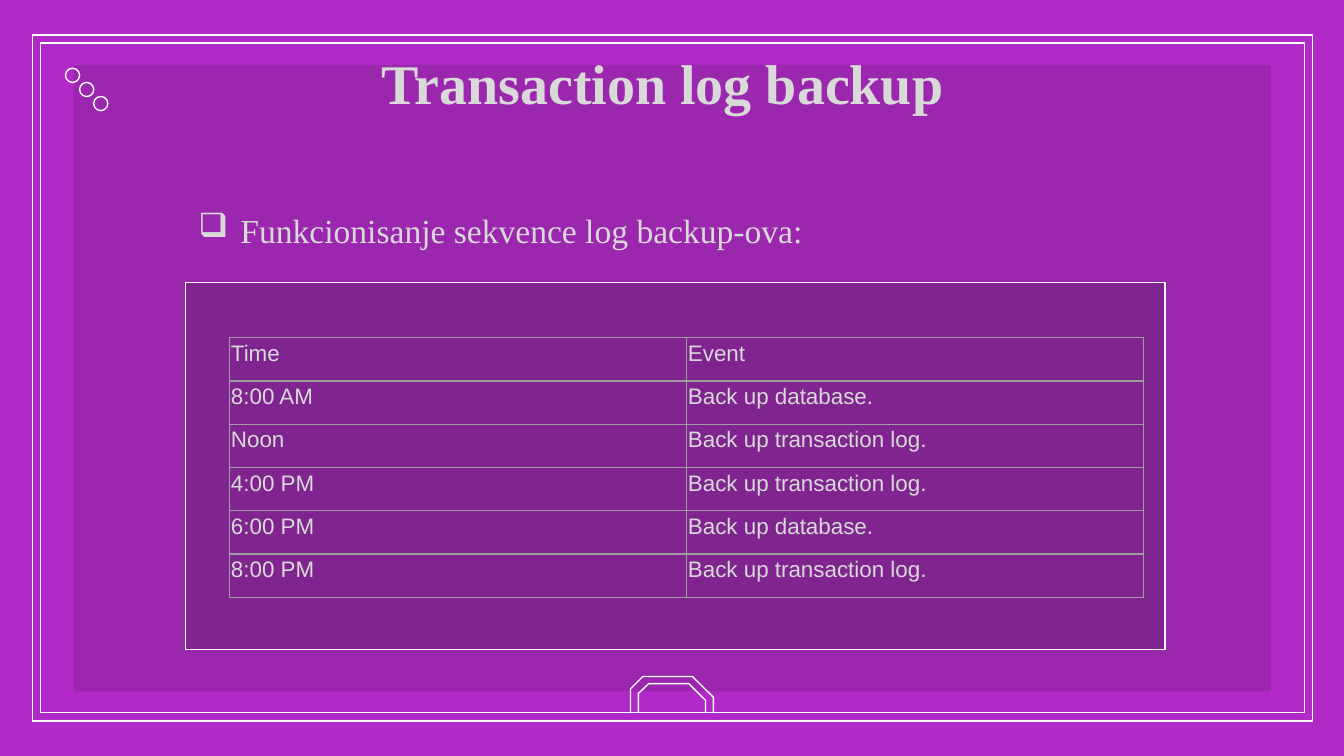
from lxml.etree import SubElement
from pptx import Presentation
from pptx.dml.color import RGBColor
from pptx.enum.shapes import MSO_SHAPE
from pptx.enum.text import MSO_ANCHOR, PP_ALIGN
from pptx.oxml.ns import qn
from pptx.util import Pt

COLORS = {
    "background": "B12AC7",
    "shade": "191919",
    "line": "FFFFFF",
    "text": "D9D9D9",
    "border": "9E9E9E",
}
LINE_WIDTH = 0.75
SCHEDULE = [
    ("Time", "Event"),
    ("8:00 AM", "Back up database."),
    ("Noon", "Back up transaction log."),
    ("4:00 PM", "Back up transaction log."),
    ("6:00 PM", "Back up database."),
    ("8:00 PM", "Back up transaction log."),
]


def color(name):
    return RGBColor.from_string(COLORS[name])


def style_shape(shape, shade_percent=0, outlined=True):
    """Apply a translucent dark fill (none at 0) and a thin white outline."""
    shape.shadow.inherit = False
    if shade_percent:
        shape.fill.solid()
        shape.fill.fore_color.rgb = color("shade")
        fill_color = shape.fill._xPr.find(".//" + qn("a:srgbClr"))
        SubElement(fill_color, qn("a:alpha"), val=str(shade_percent * 1000))
    else:
        shape.fill.background()
    if outlined:
        shape.line.color.rgb = color("line")
        shape.line.width = Pt(LINE_WIDTH)
    else:
        shape.line.fill.background()


def add_preset(slide, preset, left, top, width, height, **style):
    shape = slide.shapes.add_shape(preset, Pt(left), Pt(top), Pt(width), Pt(height))
    style_shape(shape, **style)
    return shape


def add_arch(slide, points):
    (start_x, start_y), *others = points
    builder = slide.shapes.build_freeform(Pt(start_x), Pt(start_y))
    builder.add_line_segments([(Pt(x), Pt(y)) for x, y in others], close=False)
    style_shape(builder.convert_to_shape())


def style_paragraph(paragraph, text, size, font_name, alignment, bold=False):
    paragraph.text = text
    paragraph.alignment = alignment
    paragraph.line_spacing = 1.07
    paragraph.font.size = Pt(size)
    paragraph.font.name = font_name
    paragraph.font.bold = bold
    paragraph.font.color.rgb = color("text")


def set_margins(target, margin):
    """Give a text frame or a table cell the same margin on all sides."""
    target.margin_left = target.margin_right = Pt(margin)
    target.margin_top = target.margin_bottom = Pt(margin)


def add_text(slide, left, top, width, height, anchor):
    """Add a wrapping text box and return its first paragraph."""
    box = slide.shapes.add_textbox(Pt(left), Pt(top), Pt(width), Pt(height))
    frame = box.text_frame
    frame.word_wrap = True
    frame.vertical_anchor = anchor
    set_margins(frame, 7.2)
    return frame.paragraphs[0]


def add_bullet(paragraph, symbol, indent):
    properties = paragraph._p.get_or_add_pPr()
    properties.set("marL", str(Pt(indent)))
    properties.set("indent", str(-Pt(indent)))
    bullet_color = SubElement(properties, qn("a:buClr"))
    SubElement(bullet_color, qn("a:srgbClr"), val=COLORS["text"])
    SubElement(properties, qn("a:buChar"), char=symbol)


def add_borders(cell):
    properties = cell._tc.get_or_add_tcPr()
    for side in ("a:lnL", "a:lnR", "a:lnT", "a:lnB"):
        border = SubElement(properties, qn(side), w=str(Pt(LINE_WIDTH)))
        fill = SubElement(border, qn("a:solidFill"))
        SubElement(fill, qn("a:srgbClr"), val=COLORS["border"])


def add_schedule(slide, left, top, width, height):
    frame = slide.shapes.add_table(
        len(SCHEDULE), len(SCHEDULE[0]), Pt(left), Pt(top), Pt(width), Pt(height))
    table = frame.table
    table.first_row = table.horz_banding = False
    for row_index, row in enumerate(SCHEDULE):
        for column_index, text in enumerate(row):
            cell = table.cell(row_index, column_index)
            set_margins(cell, 0.75)
            add_borders(cell)
            cell.fill.background()
            style_paragraph(cell.text_frame.paragraphs[0], text, 12, "Arial",
                            PP_ALIGN.JUSTIFY)


def main():
    presentation = Presentation()
    presentation.slide_width = Pt(720)
    presentation.slide_height = Pt(405)
    slide = presentation.slides.add_slide(presentation.slide_layouts[6])
    slide.background.fill.solid()
    slide.background.fill.fore_color.rgb = color("background")

    add_preset(slide, MSO_SHAPE.RECTANGLE, 39.3, 34.7, 641.5, 335.7,
               shade_percent=15, outlined=False)
    border = add_preset(slide, MSO_SHAPE.FRAME, 17.5, 18.7, 685.7, 367.6)
    border.adjustments[0] = 0.012

    title = add_text(slide, 51.5, 11.5, 607, 62.6, MSO_ANCHOR.MIDDLE)
    style_paragraph(title, "Transaction log backup", 30, "Times New Roman",
                    PP_ALIGN.CENTER, bold=True)
    title.space_after = Pt(4)

    add_preset(slide, MSO_SHAPE.RECTANGLE, 99.2, 151.3, 525, 196.6, shade_percent=20)
    for index in range(3):
        offset = 7.55 * index
        add_preset(slide, MSO_SHAPE.OVAL, 35.1 + offset, 36.6 + offset, 7.6, 7.6)

    add_arch(slide, [(337.8, 382), (337.8, 369), (344.4, 362.4),
                     (371, 362.4), (382.2, 373.6), (382.2, 382)])
    add_arch(slide, [(342, 382), (342, 371.6), (347.5, 366.3),
                     (369, 366.3), (378, 375.2), (378, 382)])

    heading = add_text(slide, 99.2, 103.7, 525, 160.6, MSO_ANCHOR.TOP)
    add_bullet(heading, "❑", 22.5)
    style_paragraph(heading, "Funkcionisanje sekvence log backup-ova:", 18,
                    "Times New Roman", PP_ALIGN.JUSTIFY)
    heading.space_after = Pt(8)

    add_schedule(slide, 123, 181, 489.6, 139)
    presentation.save("out.pptx")


if __name__ == "__main__":
    main()
